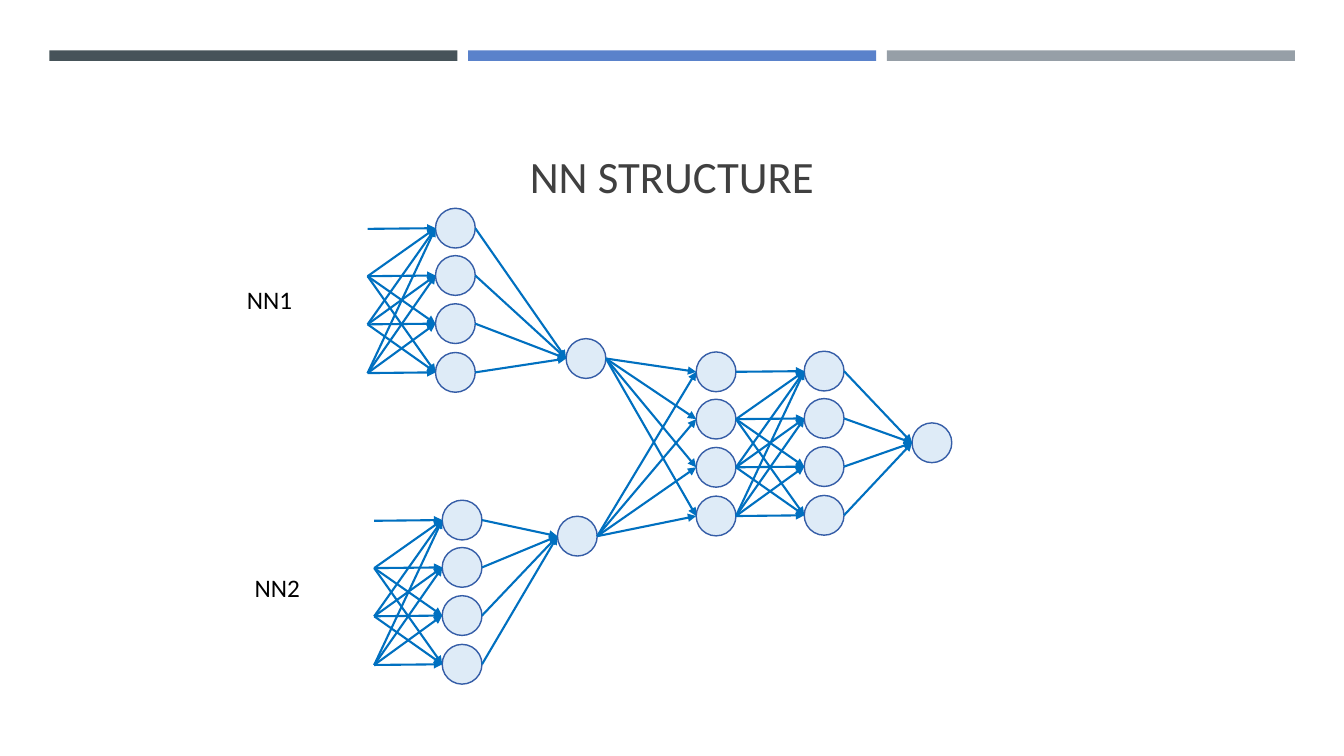
from dataclasses import dataclass
from itertools import product

from lxml import etree
from pptx import Presentation
from pptx.dml.color import RGBColor
from pptx.enum import shapes, text
from pptx.oxml import ns
from pptx.util import Pt


@dataclass(frozen=True)
class Theme:
    font: str = "Calibri"
    title_size: float = 32
    label_size: float = 18
    title_color: str = "404040"
    label_color: str = "000000"
    node_fill: str = "DEEBF7"
    node_line: str = "355DA7"
    node_width: float = 1
    link_color: str = "0070C0"
    link_width: float = 1.5
    bars: tuple = ("465359", "5A82CB", "969FA7")


DIAMETER = 28.4
ROW_OFFSETS = (0, 33.8, 68.2, 103)


class NetworkSlide:
    def __init__(self, slide, theme):
        self.slide, self.theme = slide, theme

    def fill_text(self, frame, words, size, color, **formats):
        for name, value in formats.items():
            setattr(frame, name, value)
        paragraph = frame.paragraphs[0]
        run = paragraph.add_run()
        run.text = words
        for name, value in {"name": self.theme.font, "size": Pt(size), "bold": False}.items():
            setattr(run.font, name, value)
        run.font.color.rgb = RGBColor.from_string(color)
        return paragraph

    def title(self, words, **box):
        heading = self.slide.shapes.title
        for side, points in box.items():
            setattr(heading, side, Pt(points))
        paragraph = self.fill_text(
            heading.text_frame, words, self.theme.title_size, self.theme.title_color,
            vertical_anchor=text.MSO_ANCHOR.BOTTOM, word_wrap=True,
            auto_size=text.MSO_AUTO_SIZE.NONE)
        paragraph.alignment = text.PP_ALIGN.CENTER
        paragraph.line_spacing = 0.9

    def label(self, words, left, top):
        box = self.slide.shapes.add_textbox(Pt(left), Pt(top), Pt(59), Pt(29))
        self.fill_text(box.text_frame, words, self.theme.label_size, self.theme.label_color,
                       word_wrap=True, auto_size=text.MSO_AUTO_SIZE.SHAPE_TO_FIT_TEXT)

    def shape(self, kind, left, top, width, height, fill, line=None):
        figure = self.slide.shapes.add_shape(kind, Pt(left), Pt(top), Pt(width), Pt(height))
        figure.shadow.inherit = False
        figure.fill.solid()
        figure.fill.fore_color.rgb = RGBColor.from_string(fill)
        if line:
            figure.line.color.rgb = RGBColor.from_string(line)
            figure.line.width = Pt(self.theme.node_width)
        else:
            figure.line.fill.background()

    def layer(self, x, y, offsets=ROW_OFFSETS):
        """Draw a column of neurons and return their centres."""
        centres = [(x, y + offset) for offset in offsets]
        for cx, cy in centres:
            self.shape(shapes.MSO_SHAPE.OVAL, cx - DIAMETER / 2, cy - DIAMETER / 2,
                       DIAMETER, DIAMETER, self.theme.node_fill, self.theme.node_line)
        return centres

    def arrow(self, x1, y1, x2, y2):
        link = self.slide.shapes.add_connector(
            shapes.MSO_CONNECTOR.STRAIGHT, Pt(x1), Pt(y1), Pt(x2), Pt(y2))
        link.line.color.rgb = RGBColor.from_string(self.theme.link_color)
        link.line.width = Pt(self.theme.link_width)
        properties = link._element.spPr
        etree.SubElement(properties.find(ns.qn("a:ln")), ns.qn("a:tailEnd"), type="triangle")
        etree.SubElement(properties, ns.qn("a:effectLst"))

    def connect(self, sources, targets, start_gap=DIAMETER / 2, first_single=False):
        """Link every source to every target; the first may reach only its own row."""
        for (i, (x1, y1)), (j, (x2, y2)) in product(enumerate(sources), enumerate(targets)):
            if first_single and i == 0 and j > 0:
                continue
            self.arrow(x1 + start_gap, y1, x2 - DIAMETER / 2, y2)


def main():
    deck = Presentation()
    deck.slide_width, deck.slide_height = Pt(960), Pt(540)
    theme = Theme()
    page = NetworkSlide(deck.slides.add_slide(deck.slide_layouts[5]), theme)

    # Header bars and title
    for i, color in enumerate(theme.bars):
        page.shape(shapes.MSO_SHAPE.RECTANGLE, 35.2 + 299.1 * i, 36, 291.6, 7.5, color)
    page.title("NN STRUCTURE", left=46, top=55.5, width=868, height=93.5)

    # Shared output network
    joint = page.layer(511.5, 265.6)
    hidden = page.layer(588.7, 265.1)
    output = page.layer(665.7, 316.3, (0,))
    page.connect(joint, hidden, first_single=True)
    page.connect(hidden, output)

    # Two input networks: name, label place, input x, neurons, merging neuron
    branches = (
        ("NN1", (169.2, 199.6), 262.6, (325.3, 163), (418.6, 256.1)),
        ("NN2", (174.8, 405.5), 267.3, (330.1, 371.5), (412.4, 383)),
    )
    for name, place, input_x, neurons_at, merge_at in branches:
        neurons = page.layer(*neurons_at)
        merge = page.layer(*merge_at, (0,))
        inputs = [(input_x, y + 0.5) for _, y in neurons]
        page.connect(inputs, neurons, start_gap=0, first_single=True)
        page.connect(neurons, merge)
        page.connect(merge, joint)
        page.label(name, *place)

    deck.save("out.pptx")


if __name__ == "__main__":
    main()
